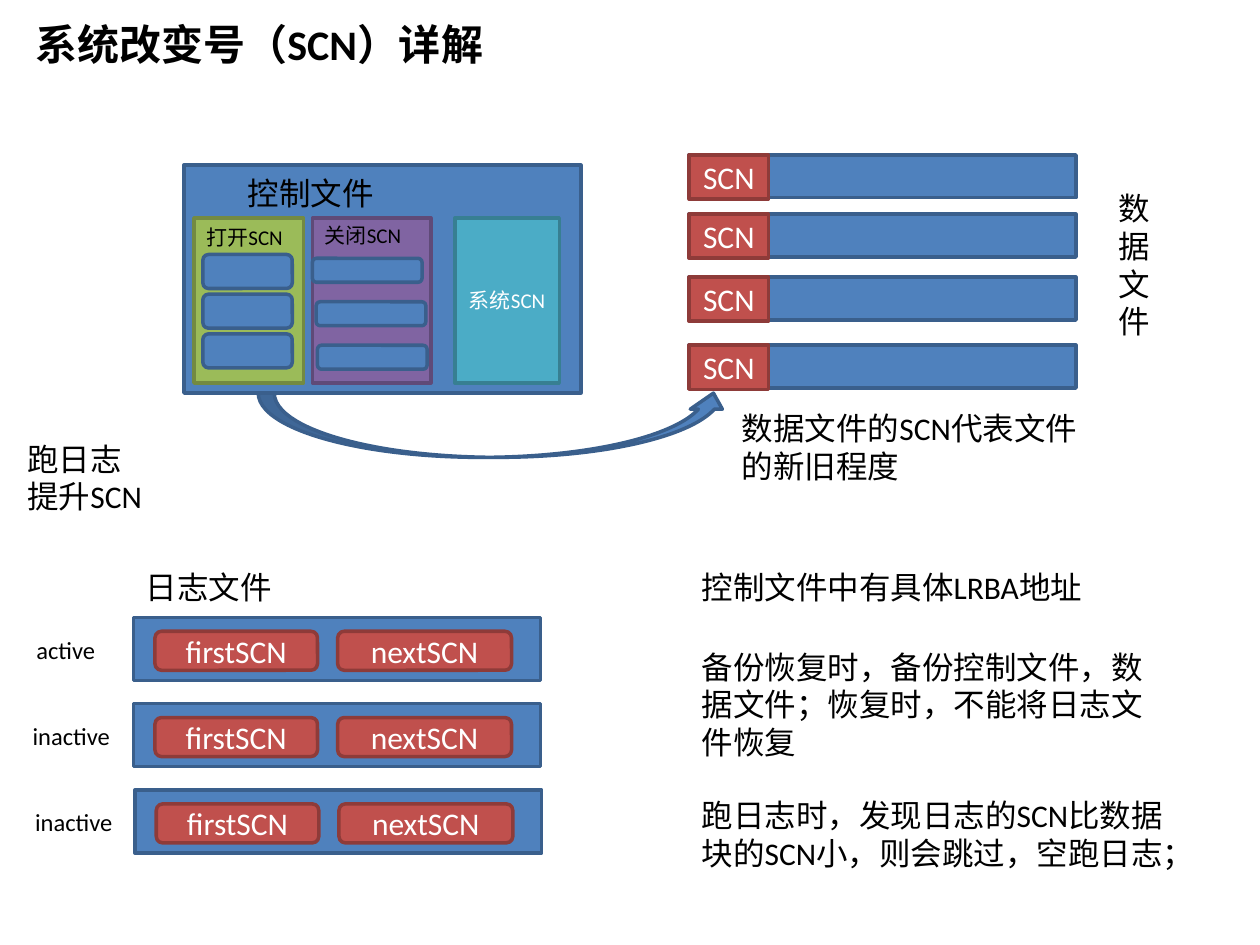
from pptx import Presentation
from pptx.dml.color import RGBColor
from pptx.enum.shapes import MSO_SHAPE as Shape
from pptx.enum.text import MSO_ANCHOR as Anchor, PP_ALIGN as Align
from pptx.util import Inches, Pt

FONT = "Calibri"
BLACK = RGBColor(0x00, 0x00, 0x00)
WHITE = RGBColor(0xFF, 0xFF, 0xFF)
# Each pair is fill and line
BLUE = RGBColor(0x4F, 0x81, 0xBD), RGBColor(0x3A, 0x5F, 0x8C)
RED = RGBColor(0xC0, 0x50, 0x4D), RGBColor(0x8E, 0x3B, 0x39)
GREEN = RGBColor(0x9B, 0xBB, 0x59), RGBColor(0x73, 0x8A, 0x42)
PURPLE = RGBColor(0x80, 0x64, 0xA2), RGBColor(0x5F, 0x4A, 0x78)
TEAL = RGBColor(0x4B, 0xAC, 0xC6), RGBColor(0x37, 0x7F, 0x92)


def write(frame, text, size, color, align, anchor, bold=False):
    frame.text = text
    frame.word_wrap = True
    frame.vertical_anchor = anchor
    for para in frame.paragraphs:
        para.alignment = align
        for run in para.runs:
            font = run.font
            font.name, font.size, font.bold = FONT, Pt(size), bold
            font.color.rgb = color


def add_title(slide, text):
    title = slide.shapes.title
    title.left, title.top = Inches(0.18), Inches(0.1)
    title.width, title.height = Inches(6.87), Inches(0.5)
    write(title.text_frame, text, 24, BLACK, Align.LEFT, Anchor.TOP, True)


def add_label(slide, text, left, top, width, height, size=18):
    box = slide.shapes.add_textbox(
        Inches(left), Inches(top), Inches(width), Inches(height))
    write(box.text_frame, text, size, BLACK, Align.LEFT, Anchor.TOP)


def add_block(slide, colors, left, top, width, height,
              text="", size=18, kind=Shape.RECTANGLE):
    block = slide.shapes.add_shape(
        kind, Inches(left), Inches(top), Inches(width), Inches(height))
    fill, line = colors
    block.shadow.inherit = False
    block.fill.solid()
    block.fill.fore_color.rgb = fill
    block.line.color.rgb = line
    block.line.width = Pt(2)
    if text:
        write(block.text_frame, text, size, WHITE, Align.CENTER, Anchor.MIDDLE)


def add_pill(slide, colors, left, top, width, height, text=""):
    add_block(slide, colors, left, top, width, height, text,
              kind=Shape.ROUNDED_RECTANGLE)


def add_control(slide):
    """Control file with its open, close and system SCN panels."""
    add_block(slide, BLUE, 1.46, 1.31, 3.15, 1.81)
    add_label(slide, "控制文件", 1.87, 1.33, 1.84, 0.4)
    add_block(slide, GREEN, 1.54, 1.73, 0.87, 1.31)
    add_block(slide, PURPLE, 2.48, 1.73, 0.94, 1.31)
    add_block(slide, TEAL, 3.61, 1.73, 0.83, 1.31, "系统SCN", 12)
    add_label(slide, "打开SCN", 1.54, 1.73, 0.87, 0.3, 12)
    add_label(slide, "关闭SCN", 2.48, 1.72, 0.87, 0.3, 12)
    for row, left in enumerate((2.48, 2.51, 2.52)):
        add_pill(slide, BLUE, 1.61, 2.02 + row * 0.315, 0.71, 0.27)
        add_pill(slide, BLUE, left, 2.05 + row * 0.345, 0.87, 0.19)


def add_data(slide):
    """Data files, each headed by its SCN."""
    for top in (1.23, 1.7, 2.2, 2.74):
        add_block(slide, BLUE, 5.47, top, 3.07, 0.34)
        add_block(slide, RED, 5.47, top, 0.63, 0.35, "SCN")
    add_label(slide, "数据文件", 8.78, 1.45, 0.55, 1.31)
    add_label(slide, "数据文件的SCN代表文件的新旧程度", 5.79, 3.2, 2.95, 0.71)


def add_logs(slide):
    """Log files with their state and SCN range."""
    add_label(slide, "日志文件", 1.06, 4.46, 3.07, 0.4)
    rows = (("active", 0.19, 1.06), ("inactive", 0.16, 1.06),
            ("inactive", 0.18, 1.07))
    for row, (state, left, start) in enumerate(rows):
        top = 4.9 + row * 0.685
        add_block(slide, BLUE, start, top, 3.23, 0.5)
        add_pill(slide, RED, start + 0.17, top + 0.11, 1.29, 0.31, "firstSCN")
        add_pill(slide, RED, start + 0.62 + 1, top + 0.11, 1.38, 0.31,
                 "nextSCN")
        add_label(slide, state, left, top + 0.09, 0.88, 0.34, 14)


def add_notes(slide):
    add_label(slide, "跑日志\n提升SCN", 0.12, 3.44, 1.34, 0.71)
    notes = (
        ("控制文件中有具体LRBA地址", 4.46, 3.39, 0.4),
        ("备份恢复时，备份控制文件，数据文件；恢复时，不能将日志文件恢复",
         5.09, 3.86, 1.01),
        ("跑日志时，发现日志的SCN比数据块的SCN小，则会跳过，空跑日志；",
         6.27, 3.86, 1.01),
    )
    for text, top, width, height in notes:
        add_label(slide, text, 5.47, top, width, height)


def main():
    deck = Presentation()
    deck.slide_width, deck.slide_height = Inches(10), Inches(7.5)
    slide = deck.slides.add_slide(deck.slide_layouts[5])
    add_title(slide, "系统改变号（SCN）详解")
    add_control(slide)
    add_data(slide)
    add_block(slide, BLUE, 2.05, 3.12, 3.74, 0.51, kind=Shape.CURVED_UP_ARROW)
    add_logs(slide)
    add_notes(slide)
    deck.save("out.pptx")


if __name__ == "__main__":
    main()
